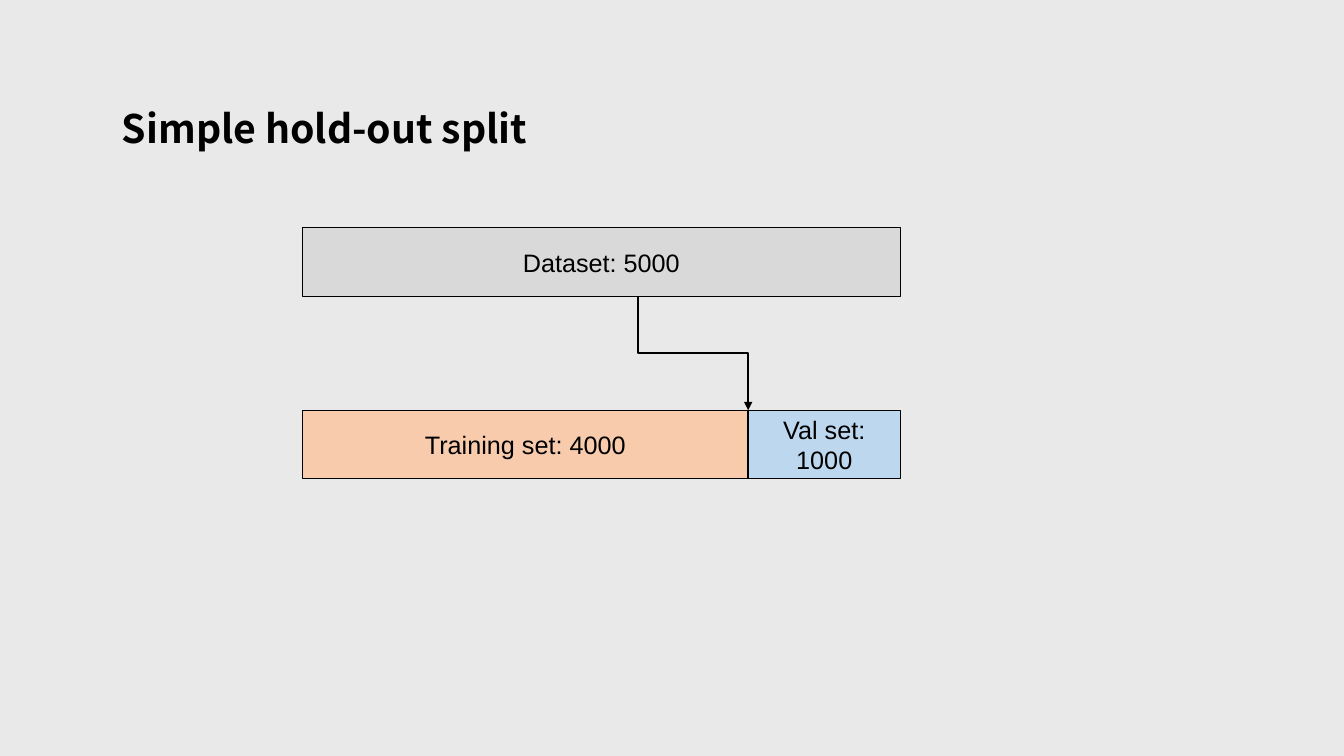
from lxml import etree
from pptx import Presentation
from pptx import util as u
from pptx.dml.color import RGBColor
from pptx.enum import shapes, text
from pptx.oxml.ns import qn

BLACK = "000000"
TRAINING_SIZE, VALIDATION_SIZE = 4000, 1000


def color(hex_code):
    """Turn a hex string into a colour."""
    return RGBColor.from_string(hex_code)


def format_paragraph(paragraph, font_name, size, alignment, bold=False):
    """Set the font and alignment of a paragraph."""
    paragraph.alignment = alignment
    paragraph.font.name = font_name
    paragraph.font.size = u.Pt(size)
    paragraph.font.bold = bold
    paragraph.font.color.rgb = color(BLACK)


def add_title(slide, left, top, width, height):
    """Place the slide title in the given box."""
    title = slide.shapes.title
    title.left, title.top = u.Inches(left), u.Inches(top)
    title.width, title.height = u.Inches(width), u.Inches(height)
    frame = title.text_frame
    frame.text = "Simple hold-out split"
    frame.word_wrap = True
    frame.auto_size = text.MSO_AUTO_SIZE.NONE
    frame.vertical_anchor = text.MSO_ANCHOR.TOP
    paragraph = frame.paragraphs[0]
    paragraph.line_spacing = 0.9
    format_paragraph(paragraph, "Noto Sans CJK SC", 28, text.PP_ALIGN.LEFT, bold=True)


def add_bar(slide, label, fill, left, top, width, height):
    """Draw a labelled bar for one set of samples."""
    bar = slide.shapes.add_shape(
        shapes.MSO_SHAPE.RECTANGLE,
        u.Inches(left), u.Inches(top), u.Inches(width), u.Inches(height))
    bar.shadow.inherit = False
    bar.fill.solid()
    bar.fill.fore_color.rgb = color(fill)
    bar.line.color.rgb = color(BLACK)
    bar.line.width = u.Pt(1)
    frame = bar.text_frame
    frame.text = label
    frame.word_wrap = True
    frame.vertical_anchor = text.MSO_ANCHOR.MIDDLE
    for paragraph in frame.paragraphs:
        format_paragraph(paragraph, "Arial", 18, text.PP_ALIGN.CENTER)


def add_down_elbow(slide, start_x, start_y, end_x, end_y):
    """Draw an elbow arrow that leaves and arrives vertically."""
    center_x, center_y = (start_x + end_x) / 2, (start_y + end_y) / 2
    half_run, half_rise = (end_y - start_y) / 2, (end_x - start_x) / 2
    connector = slide.shapes.add_connector(
        shapes.MSO_CONNECTOR.ELBOW,
        u.Inches(center_x + half_run), u.Inches(center_y - half_rise),
        u.Inches(center_x - half_run), u.Inches(center_y + half_rise))
    connector.line.color.rgb = color(BLACK)
    connector.line.width = u.Pt(1.5)
    properties = connector._element.spPr
    properties.find(qn("a:xfrm")).set("rot", str(270 * 60000))
    etree.SubElement(properties.find(qn("a:ln")), qn("a:tailEnd"), type="triangle")
    etree.SubElement(properties, qn("a:effectLst"))


def add_split_diagram(slide, left, top, width, height):
    """Draw the dataset bar above the two bars it is split into."""
    bar_height = 0.68
    training_width = 4.42
    split_x = left + training_width
    split_top = top + height - bar_height
    add_bar(slide, f"Dataset: {TRAINING_SIZE + VALIDATION_SIZE}", "D9D9D9",
            left, top, width, bar_height)
    add_bar(slide, f"Training set: {TRAINING_SIZE}", "F8CBAD",
            left, split_top, training_width, bar_height)
    add_bar(slide, f"Val set:\n{VALIDATION_SIZE}", "BDD7EE",
            split_x, split_top, width - training_width, bar_height)
    add_down_elbow(slide, left + 3.33, top + bar_height, split_x, split_top)


def main():
    """Build and save the presentation."""
    presentation = Presentation()
    presentation.slide_width = u.Inches(13.33)
    presentation.slide_height = u.Inches(7.5)
    slide = presentation.slides.add_slide(presentation.slide_layouts[5])
    slide.background.fill.solid()
    slide.background.fill.fore_color.rgb = color("E9E9E9")
    add_title(slide, 1.11, 1.04, 4.46, 0.61)
    add_split_diagram(slide, 3, 2.26, 5.93, 2.49)
    presentation.save("out.pptx")


if __name__ == "__main__":
    main()
